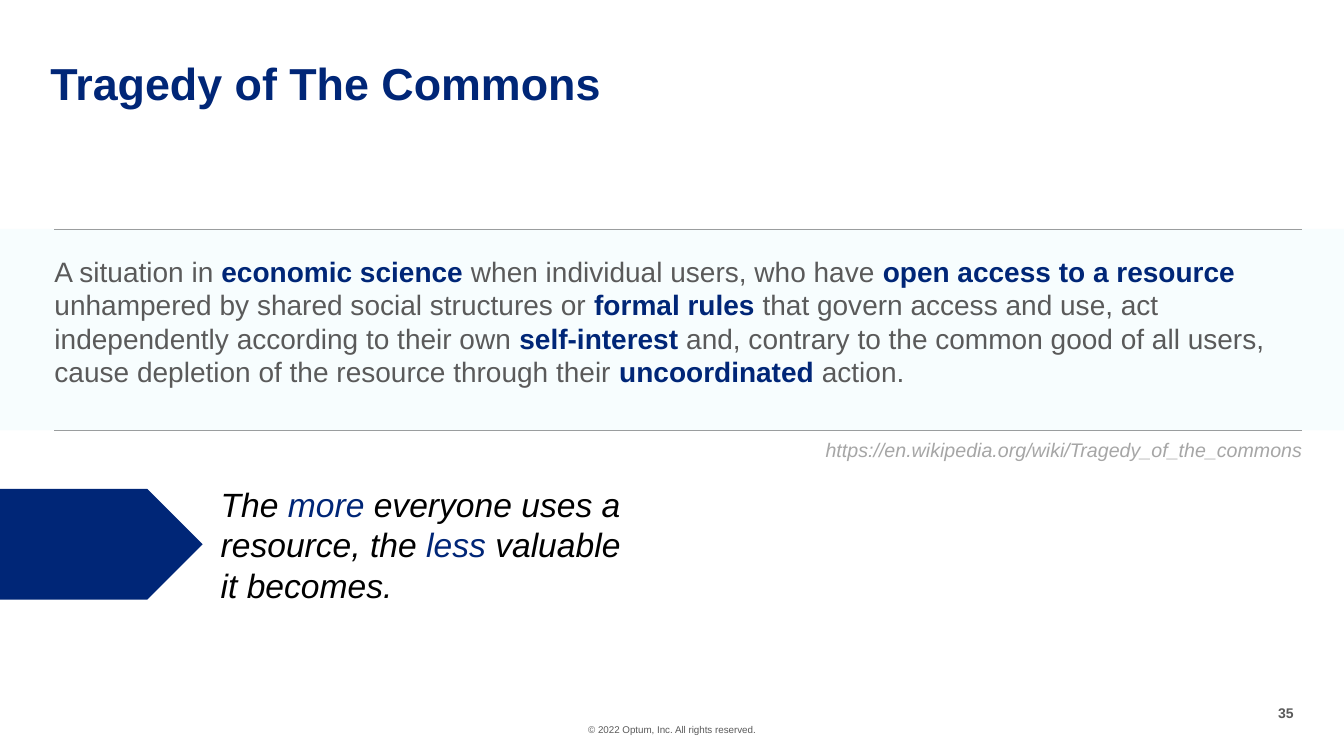
from lxml import etree
from pptx import Presentation
from pptx.dml.color import RGBColor
from pptx.enum.shapes import MSO_CONNECTOR as CONN, MSO_SHAPE as SHAPE
from pptx.enum.text import MSO_ANCHOR as ANCHOR, PP_ALIGN as ALIGN
from pptx.oxml.ns import qn
from pptx.util import Inches, Pt

NAVY, GREY, RULE, PALE = "002677", "5A5A5A", "9A9D9E", "D9F6FA"
SILVER, BLACK = "A6A6A6", "000000"
MARGIN = 0.54

DEFINITION = [
    "A situation in ", "economic science ",
    "when individual users, who have ", "open access to a resource ",
    "unhampered by shared social structures or ", "formal rules ",
    "that govern access and use, act independently according to their own ",
    "self-interest",
    " and, contrary to the common good of all users, cause depletion of "
    "the resource through their ", "uncoordinated", " action.",
]
TAKEAWAY = ["The ", "more", " everyone uses a resource, the ", "less ",
            "valuable it becomes."]


def rgb(value):
    return RGBColor.from_string(value)


def style(r, size, color, bold=False, italic=False):
    r.font.name = "Arial"
    r.font.size = Pt(size)
    r.font.bold = bold
    r.font.italic = italic
    r.font.color.rgb = rgb(color)


def add_text(s, box, parts, size, color, inset=0, wrap=True,
             align=ALIGN.LEFT, bold=False, italic=False, strong=False):
    tf = s.shapes.add_textbox(*map(Inches, box)).text_frame
    tf.word_wrap = wrap
    tf.margin_left = tf.margin_right = Inches(inset)
    tf.margin_top = tf.margin_bottom = Inches(inset / 2)
    p = tf.paragraphs[0]
    p.alignment = align
    for i, part in enumerate(parts):
        r = p.add_run()
        r.text = part
        accent = i % 2 == 1
        style(r, size, NAVY if accent else color, bold or (accent and strong), italic)


def add_block(s, kind, box, color):
    sp = s.shapes.add_shape(kind, *map(Inches, box))
    sp.shadow.inherit = False
    sp.fill.solid()
    sp.fill.fore_color.rgb = rgb(color)
    sp.line.fill.background()
    return sp


def add_rule(s, left, right, y):
    line = s.shapes.add_connector(CONN.STRAIGHT, Inches(left), Inches(y),
                                  Inches(right), Inches(y))
    line.line.color.rgb = rgb(RULE)
    line.line.width = Pt(0.25)
    etree.SubElement(line._element.spPr, qn("a:effectLst"))


def add_title(s, left, top, width, height):
    title = s.shapes.title
    title.left, title.top, title.width, title.height = map(
        Inches, (left, top, width, height))
    tf = title.text_frame
    tf.text = "Tragedy of The Commons"
    tf.margin_left = tf.margin_right = tf.margin_top = tf.margin_bottom = 0
    tf.vertical_anchor = ANCHOR.MIDDLE
    p = tf.paragraphs[0]
    p.alignment = ALIGN.LEFT
    p.line_spacing = 0.9
    style(p.runs[0], 32, NAVY, bold=True)


def add_definition(s, left, top, width, height):
    band = add_block(s, SHAPE.RECTANGLE, (left, top, width, height), PALE)
    color = band._element.spPr.find(qn("a:solidFill"))[0]
    etree.SubElement(color, qn("a:alpha"), val="20000")
    for y in (top, top + height):
        add_rule(s, left + MARGIN, left + 12.91, y)
    add_text(s, (left + MARGIN, top + 0.25, 12.38, 1.46), DEFINITION, 20, GREY,
             strong=True)
    add_text(s, (left + 8.09, top + height + 0.03, 4.96, 0.34),
             ["https://en.wikipedia.org/wiki/Tragedy_of_the_commons"], 14,
             SILVER, inset=0.1, wrap=False, italic=True)


def add_takeaway(s, left, top, width, height):
    arrow = 2.01
    add_block(s, SHAPE.PENTAGON, (left, top + 0.1, arrow, height - 0.21), NAVY)
    text_left = left + arrow + 0.08
    add_text(s, (text_left, top, left + width - text_left, height), TAKEAWAY,
             24, BLACK, inset=0.1, italic=True)


def add_footer(s, left, top, width, height):
    add_text(s, (left + (width - 3.06) / 2, top + height - 0.12, 3.06, 0.12),
             ["© 2022 Optum, Inc. All rights reserved."], 7, GREY,
             align=ALIGN.CENTER)
    add_text(s, (left + width - 0.5 - 0.17, top, 0.17, 0.17), ["35"], 10, GREY,
             wrap=False, align=ALIGN.RIGHT, bold=True)


def main():
    prs = Presentation()
    prs.slide_width, prs.slide_height = Inches(13.33), Inches(7.5)
    s = prs.slides.add_slide(prs.slide_layouts[5])
    add_title(s, 0.5, 0.61, 10.5, 0.48)
    add_definition(s, 0, 2.27, 13.33, 2)
    add_takeaway(s, 0, 4.75, 6.47, 1.31)
    add_footer(s, 0, 6.99, 13.33, 0.31)
    prs.save("out.pptx")


if __name__ == "__main__":
    main()
